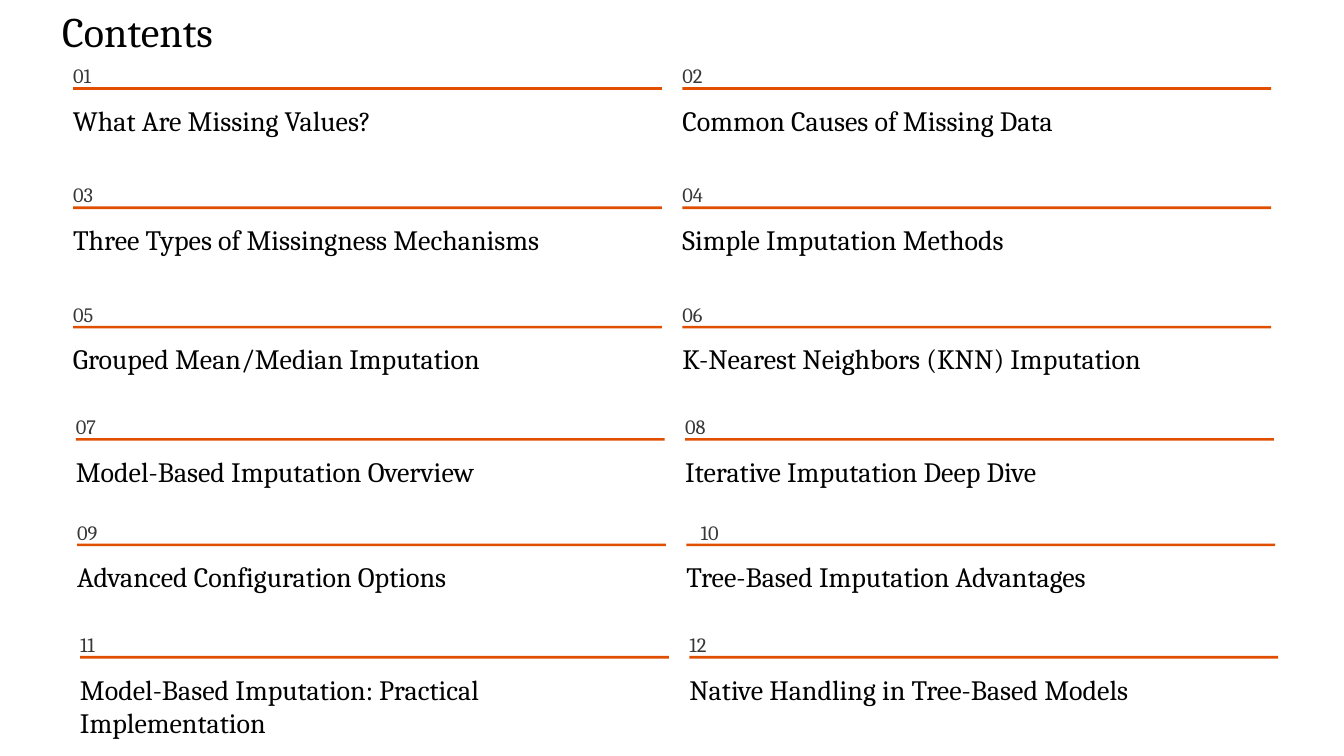
from pptx import Presentation
from pptx.dml.color import RGBColor
from pptx.enum.shapes import MSO_SHAPE
from pptx.enum.text import MSO_ANCHOR, MSO_AUTO_SIZE, PP_ALIGN
from pptx.util import Pt

RECTANGLE = MSO_SHAPE.RECTANGLE
TOP = MSO_ANCHOR.TOP
LEFT = PP_ALIGN.LEFT
NO_AUTOSIZE = MSO_AUTO_SIZE.NONE

FONT = "Cambria"
INK = "020202"
GREY = "383838"
ORANGE = "E04F00"
COLUMN_STEP = 522.3
RULE_WIDTH = 504.7
LAST_NUMBER_INDENTED = 10

ROWS = [
    (62.6, 46.8, [("What Are Missing Values?", 344), ("Common Causes of Missing Data", 302)]),
    (62.6, 149, [("Three Types of Missingness Mechanisms", 309), ("Simple Imputation Methods", 302)]),
    (62.6, 251.3, [("Grouped Mean/Median Imputation", 235), ("K-Nearest Neighbors (KNN) Imputation", 235)]),
    (65, 347.5, [("Model-Based Imputation Overview", 235), ("Iterative Imputation Deep Dive", 235)]),
    (66.1, 438, [("Advanced Configuration Options", 235), ("Tree-Based Imputation Advantages", 235)]),
    (68.6, 534.3, [("Model-Based Imputation: Practical Implementation", 492.5), ("Native Handling in Tree-Based Models", 235)]),
]


def color(value):
    return RGBColor.from_string(value)


def write(box, text, size, ink, wrap):
    frame = box.text_frame
    frame.text = text
    frame.word_wrap = wrap
    frame.auto_size = NO_AUTOSIZE
    frame.vertical_anchor = TOP
    frame.margin_left = frame.margin_right = frame.margin_top = frame.margin_bottom = 0
    para = frame.paragraphs[0]
    para.alignment = LEFT
    para.line_spacing = 1.0
    para.space_before = Pt(0)
    span = para.runs[0]
    span.font.name = FONT
    span.font.size = Pt(size)
    span.font.color.rgb = color(ink)
    return para


deck = Presentation()
deck.slide_width = Pt(1152)
deck.slide_height = Pt(648)
page = deck.slides.add_slide(deck.slide_layouts[5])

title = page.shapes.title
title.left, title.top, title.width, title.height = Pt(53.3), Pt(4.3), Pt(1075), Pt(88.6)
write(title, "Contents", 36, INK, True)

number = 0
for row_left, top, topics in ROWS:
    for column, (topic, width) in enumerate(topics):
        number += 1
        left = row_left + column * COLUMN_STEP
        indent = 12.2 if number == LAST_NUMBER_INDENTED else 0

        number_box = page.shapes.add_textbox(Pt(left + indent), Pt(top), Pt(18), Pt(22.3))
        para = write(number_box, f"{number:02d}", 17.5, GREY, False)
        para.line_spacing = Pt(28.5)

        rule = page.shapes.add_shape(RECTANGLE, Pt(left), Pt(top + 28), Pt(RULE_WIDTH), Pt(2.2))
        rule.shadow.inherit = False
        rule.fill.solid()
        rule.fill.fore_color.rgb = color(ORANGE)
        rule.line.fill.background()

        topic_box = page.shapes.add_textbox(Pt(left), Pt(top + 41.7), Pt(width), Pt(29.5))
        write(topic_box, topic, 24, INK, number == 11)

deck.save("out.pptx")
